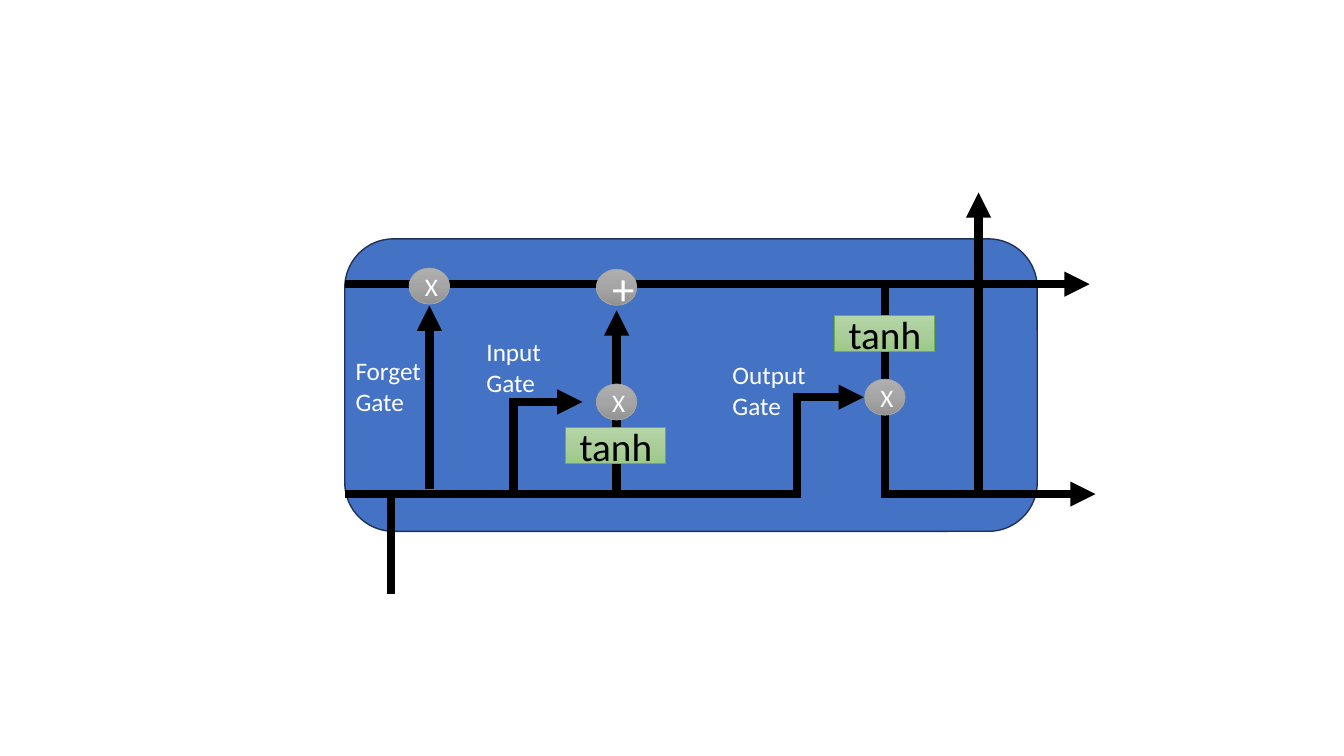
"""Build a slide showing the gates of an LSTM cell."""
from copy import deepcopy

from pptx import Presentation
from pptx.dml.color import RGBColor
from pptx.enum.shapes import MSO_CONNECTOR, MSO_SHAPE
from pptx.enum.text import MSO_ANCHOR, MSO_AUTO_SIZE, PP_ALIGN
from pptx.oxml.ns import qn
from pptx.util import Cm, Pt
from lxml.etree import SubElement

BLACK = RGBColor(0x00, 0x00, 0x00)
WHITE = RGBColor(0xFF, 0xFF, 0xFF)
BLUE = RGBColor(0x44, 0x72, 0xC4)
NAVY = RGBColor(0x1E, 0x32, 0x56)
GRAY = RGBColor(0xA5, 0xA5, 0xA5)
GREEN = RGBColor(0x70, 0xAD, 0x47)
GRAY_STOPS = [RGBColor(0xAF, 0xAF, 0xAF), GRAY, RGBColor(0x93, 0x93, 0x93)]
GREEN_STOPS = [RGBColor(0xB5, 0xD5, 0xA7), RGBColor(0xAA, 0xCE, 0x9A), RGBColor(0x9C, 0xC9, 0x87)]
FONT = "Calibri"

CELL_STATE_Y, HIDDEN_STATE_Y = 7.16, 12.45
CELL_LEFT, CELL_TOP, CELL_WIDTH, CELL_HEIGHT = 8.69, 6.02, 17.45, 7.37
FORGET_X, INPUT_X, OUTPUT_X = 10.82, 15.54, 22.3
INPUT_Y, OUTPUT_Y = 10.13, 10.01
NODE_SIZE = (1.02, 0.91)
TANH_SIZE = (2.52, 0.91)
LABEL_HEIGHT = 1.8

# start x, start y, end x, end y, bend (share of the width, None when straight), arrowhead
FLOWS = [
    (OUTPUT_X, 7.24, 27.61, HIDDEN_STATE_Y, 0, True),
    (CELL_LEFT, CELL_STATE_Y, 27.46, CELL_STATE_Y, None, True),
    (FORGET_X, 12.32, FORGET_X, 7.7, None, True),
    (CELL_LEFT, HIDDEN_STATE_Y, 21.77, OUTPUT_Y, 0.871, True),
    (11.2, HIDDEN_STATE_Y, 14.68, INPUT_Y, 0.5, True),
    (INPUT_X, HIDDEN_STATE_Y, INPUT_X, 7.82, None, True),
    (9.86, HIDDEN_STATE_Y, 9.86, 14.96, None, False),
    (24.66, HIDDEN_STATE_Y, 24.66, 4.85, None, True),
]
NODES = [
    ("X", FORGET_X, 7.21, 18),
    ("+", INPUT_X, 7.24, 32),
    ("X", OUTPUT_X, OUTPUT_Y, 18),
    ("X", INPUT_X, INPUT_Y, 18),
]
ACTIVATIONS = [("tanh", 15.52, 11.23), ("tanh", OUTPUT_X, 8.41)]
GATES = [
    ("Forget Gate", 8.71, 8.84, 2.24),
    ("Input Gate", 12.01, 8.36, 1.96),
    ("Output Gate", 18.21, 8.94, 2.41),
]


def add_flow(slide, start_x, start_y, end_x, end_y, bend, arrow):
    kind = MSO_CONNECTOR.STRAIGHT if bend is None else MSO_CONNECTOR.ELBOW
    connector = slide.shapes.add_connector(kind, Cm(start_x), Cm(start_y), Cm(end_x), Cm(end_y))
    connector.line.color.rgb = BLACK
    connector.line.width = Pt(6)
    properties = connector._element.spPr
    if bend is not None:
        adjustments = properties.find(qn("a:prstGeom")).get_or_add_avLst()
        SubElement(adjustments, qn("a:gd"), name="adj1", fmla=f"val {round(bend * 100000)}")
    outline = properties.find(qn("a:ln"))
    SubElement(outline, qn("a:miter"), lim="800000")
    if arrow:
        SubElement(outline, qn("a:tailEnd"), type="triangle")
    SubElement(properties, qn("a:effectLst"))


def fill_gradient(shape, colors):
    shape.fill.gradient()
    shape.fill.gradient_angle = 270
    stops = shape._element.spPr.find(qn("a:gradFill")).find(qn("a:gsLst"))
    stops.insert(1, deepcopy(stops[0]))
    stops[1].set("pos", "50000")
    for stop, color in zip(shape.fill.gradient_stops, colors):
        stop.color.rgb = color


def write(shape, text, size, color, alignment):
    paragraph = shape.text_frame.paragraphs[0]
    paragraph.text = text
    paragraph.alignment = alignment
    paragraph.font.name = FONT
    paragraph.font.size = Pt(size)
    paragraph.font.color.rgb = color


def add_operation(slide, kind, text, center, extent, stops, border, size, color):
    (center_x, center_y), (width, height) = center, extent
    shape = slide.shapes.add_shape(
        kind, Cm(center_x - width / 2), Cm(center_y - height / 2), Cm(width), Cm(height))
    shape.shadow.inherit = False
    fill_gradient(shape, stops)
    shape.line.color.rgb = border
    shape.line.width = Pt(0.5)
    shape.text_frame.vertical_anchor = MSO_ANCHOR.MIDDLE
    write(shape, text, size, color, PP_ALIGN.CENTER)


def main():
    presentation = Presentation()
    presentation.slide_width, presentation.slide_height = Cm(33.87), Cm(19.05)
    slide = presentation.slides.add_slide(presentation.slide_layouts[6])

    cell = slide.shapes.add_shape(
        MSO_SHAPE.ROUNDED_RECTANGLE, Cm(CELL_LEFT), Cm(CELL_TOP), Cm(CELL_WIDTH), Cm(CELL_HEIGHT))
    cell.shadow.inherit = False
    cell.fill.solid()
    cell.fill.fore_color.rgb = BLUE
    cell.line.color.rgb = NAVY
    cell.line.width = Pt(1)

    for flow in FLOWS:
        add_flow(slide, *flow)
    for text, x, y, size in NODES:
        add_operation(slide, MSO_SHAPE.OVAL, text, (x, y), NODE_SIZE, GRAY_STOPS, GRAY, size, WHITE)
    for text, x, y in ACTIVATIONS:
        add_operation(
            slide, MSO_SHAPE.RECTANGLE, text, (x, y), TANH_SIZE, GREEN_STOPS, GREEN, 28, BLACK)
    for text, left, top, width in GATES:
        label = slide.shapes.add_textbox(Cm(left), Cm(top), Cm(width), Cm(LABEL_HEIGHT))
        label.text_frame.word_wrap = True
        label.text_frame.auto_size = MSO_AUTO_SIZE.SHAPE_TO_FIT_TEXT
        write(label, text, 18, WHITE, PP_ALIGN.LEFT)

    presentation.save("out.pptx")


if __name__ == "__main__":
    main()
